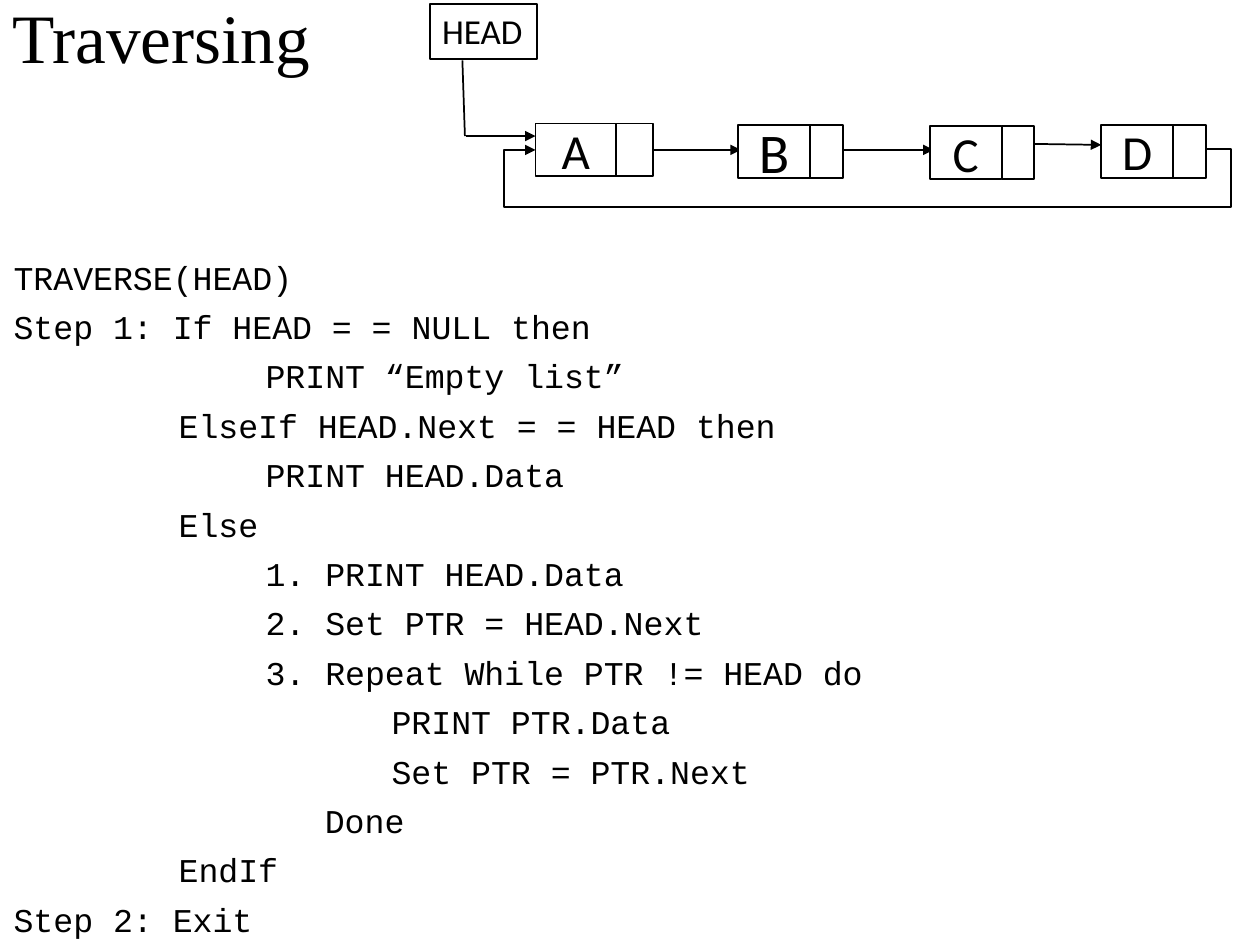
import pptx
import pptx.dml.color
import pptx.enum.shapes
import pptx.enum.text
import pptx.oxml
import pptx.oxml.ns
import pptx.util
from pptx.util import Inches

BLACK = pptx.dml.color.RGBColor(0, 0, 0)
WHITE = pptx.dml.color.RGBColor(255, 255, 255)
ALIGN = pptx.enum.text.PP_ALIGN
ANCHOR = pptx.enum.text.MSO_ANCHOR
CONNECTOR = pptx.enum.shapes.MSO_CONNECTOR

INDENTS = {"step": 0, "branch": 1.31, "action": 2, "end": 2.47, "loop": 3}
ALGORITHM = [
    ("step", "TRAVERSE(HEAD)"),
    ("step", "Step 1: If HEAD = = NULL then"),
    ("action", "PRINT “Empty list”"),
    ("branch", "ElseIf HEAD.Next = = HEAD then"),
    ("action", "PRINT HEAD.Data"),
    ("branch", "Else"),
    ("action", "1. PRINT HEAD.Data"),
    ("action", "2. Set PTR = HEAD.Next"),
    ("action", "3. Repeat While PTR != HEAD do"),
    ("loop", "PRINT PTR.Data"),
    ("loop", "Set PTR = PTR.Next"),
    ("end", "Done"),
    ("branch", "EndIf"),
    ("step", "Step 2: Exit"),
]


def write_text(paragraph, text, font="Calibri", size=28, align=ALIGN.LEFT,
               line_spacing=1.0, space_before=0, indent=0):
    """Write text into a paragraph with the given format."""
    run = paragraph.add_run()
    run.text = text
    run.font.name = font
    run.font.size = pptx.util.Pt(size)
    run.font.color.rgb = BLACK
    paragraph.alignment = align
    paragraph.line_spacing = line_spacing
    paragraph.space_before = pptx.util.Pt(space_before)
    properties = paragraph._p.get_or_add_pPr()
    properties.set("marL", str(Inches(indent)))
    properties.set("indent", "0")


def add_title(slide, left, top, width, height):
    """Place the slide title."""
    frame = slide.shapes.add_textbox(
        Inches(left), Inches(top), Inches(width), Inches(height)).text_frame
    frame.word_wrap = True
    frame.vertical_anchor = ANCHOR.MIDDLE
    write_text(frame.paragraphs[0], "Traversing", font="Times New Roman",
               size=39.6, line_spacing=0.9)


def add_algorithm(slide, left, top, width, height):
    """Place the algorithm, one indented paragraph for each line."""
    frame = slide.shapes.add_textbox(
        Inches(left), Inches(top), Inches(width), Inches(height)).text_frame
    frame.word_wrap = True
    for number, (level, text) in enumerate(ALGORITHM):
        paragraph = frame.add_paragraph() if number else frame.paragraphs[0]
        write_text(paragraph, text, font="Courier New", size=19,
                   line_spacing=0.8, space_before=10, indent=INDENTS[level])


def add_link(slide, start, end, kind=CONNECTOR.STRAIGHT, arrow=True):
    """Draw a thin black connector, with an arrowhead if wanted."""
    connector = slide.shapes.add_connector(
        kind, *(Inches(length) for length in (*start, *end)))
    connector.line.color.rgb = BLACK
    connector.line.width = pptx.util.Pt(1)
    if arrow:
        line = connector.line._get_or_add_ln()
        line.append(pptx.oxml.parse_xml(
            f'<a:tailEnd {pptx.oxml.ns.nsdecls("a")} type="triangle"/>'))
    connector._element.spPr.append(pptx.oxml.parse_xml(
        f'<a:effectLst {pptx.oxml.ns.nsdecls("a")}/>'))
    return connector


def add_return_link(slide, start, end, margin_right, margin_left, drop):
    """Draw the link that runs below the list, back to its first node."""
    connector = add_link(slide, start, end, kind=CONNECTOR.ELBOW)
    width, height = start[0] - end[0], end[1] - start[1]
    ratios = (-margin_right / width, drop / height, 1 + margin_left / width)
    geometry = connector._element.spPr.prstGeom
    geometry.set("prst", "bentConnector5")
    guides = geometry.get_or_add_avLst()
    for number, ratio in enumerate(ratios, 1):
        guides.append(pptx.oxml.parse_xml(
            f'<a:gd {pptx.oxml.ns.nsdecls("a")} name="adj{number}" '
            f'fmla="val {round(ratio * 100000)}"/>'))


def add_cell(slide, left, top, width, height):
    """Place a white rectangle with a black outline."""
    shape = slide.shapes.add_shape(
        pptx.enum.shapes.MSO_SHAPE.RECTANGLE,
        Inches(left), Inches(top), Inches(width), Inches(height))
    shape.shadow.inherit = False
    shape.fill.solid()
    shape.fill.fore_color.rgb = WHITE
    shape.line.color.rgb = BLACK
    shape.line.width = pptx.util.Pt(1)
    return shape


def add_node(slide, left, top, text, size=28, data_width=0.57, next_width=0.26):
    """Place a list node: a data cell and a next cell."""
    height = 0.42
    frame = add_cell(slide, left, top, data_width, height).text_frame
    frame.word_wrap = True
    frame.vertical_anchor = ANCHOR.MIDDLE
    write_text(frame.paragraphs[0], text, size=size, align=ALIGN.CENTER)
    add_cell(slide, left + data_width, top, next_width, height)


def add_linked_list(slide, left, top):
    """Place the circular list with its head pointer and links."""
    def at(x, y):
        return left + x, top + y

    add_link(slide, at(1.7, 1.16), at(2.47, 1.16))
    add_link(slide, at(3.1, 1.16), at(4, 1.16))
    add_link(slide, at(4.63, 1.11), at(5.33, 1.12))
    add_link(slide, at(0.26, 0.45), at(0.28, 1.05), arrow=False)
    add_link(slide, at(0.29, 1.05), at(0.84, 1.05))
    head = add_cell(slide, *at(0, 0), 0.85, 0.44).text_frame
    head.word_wrap = False
    head.vertical_anchor = ANCHOR.TOP
    write_text(head.paragraphs[0], "HEAD", size=20)
    add_return_link(slide, at(6.15, 1.15), at(0.84, 1.16),
                    margin_right=0.21, margin_left=0.25, drop=0.47)
    add_node(slide, *at(0.84, 0.95), "A", data_width=0.64, next_width=0.29)
    add_node(slide, *at(2.45, 0.96), "B", size=32)
    add_node(slide, *at(3.97, 0.97), "C")
    add_node(slide, *at(5.33, 0.96), "D")


def main():
    """Build the slide and save it."""
    presentation = pptx.Presentation()
    presentation.slide_width = Inches(10)
    presentation.slide_height = Inches(7.5)
    slide = presentation.slides.add_slide(presentation.slide_layouts[6])
    add_title(slide, 0, 0, 8.39, 0.66)
    add_algorithm(slide, 0.01, 2.05, 8.84, 5.45)
    add_linked_list(slide, 3.41, 0.03)
    presentation.save("out.pptx")


if __name__ == "__main__":
    main()
